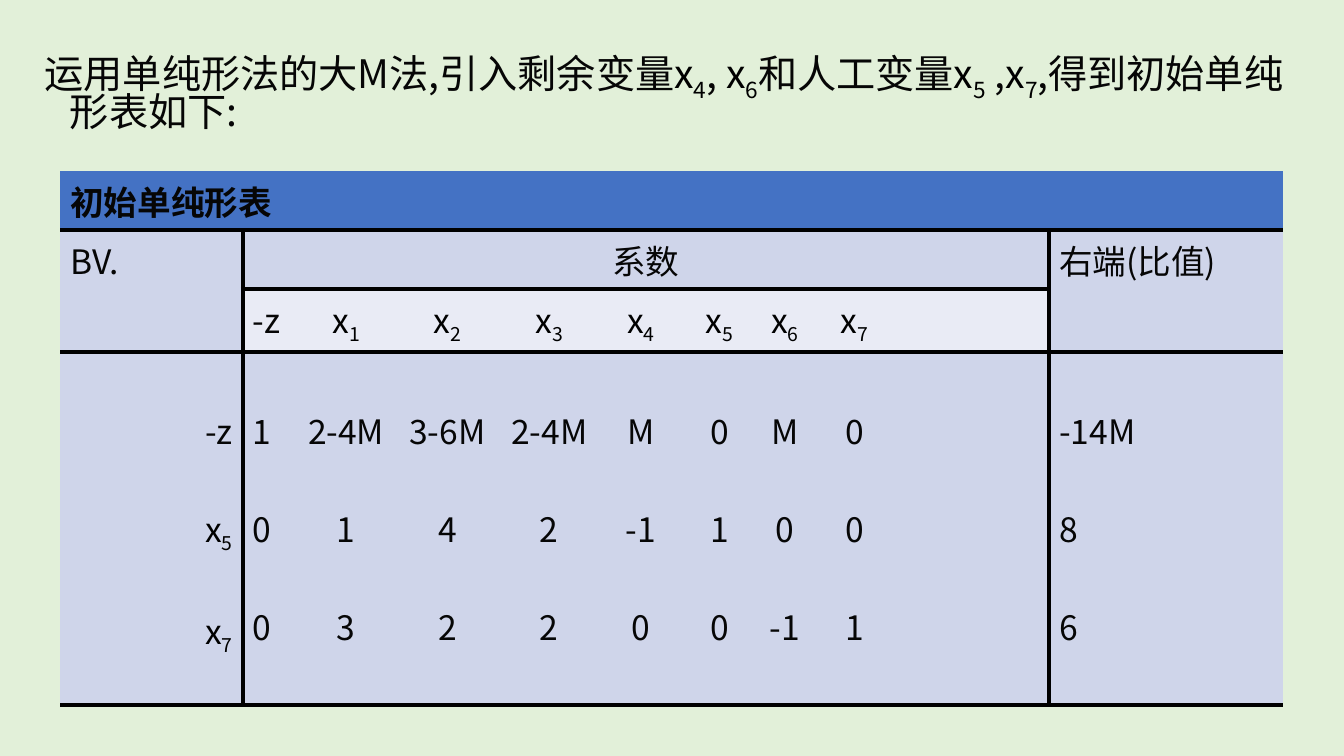
import pptx
import pptx.dml.color
import pptx.enum.text
import pptx.oxml.ns
import pptx.util
from dataclasses import dataclass
from lxml import etree

Cm, Pt = pptx.util.Cm, pptx.util.Pt
ALIGN = pptx.enum.text.PP_ALIGN
qn = pptx.oxml.ns.qn


@dataclass(frozen=True)
class Theme:
    font: str = "Noto Sans CJK SC"
    background: str = "E2F0D9"
    ink: str = "060606"
    line: str = "000000"
    variable: str = "000000"
    header: str = "4472C4"
    band: str = "CFD5EA"
    light_band: str = "E9EBF5"
    title_size: int = 28
    table_size: int = 24
    border_width: int = 3


THEME = Theme()

COLUMN_WIDTHS = (4.6, 20.32, 5.89)
ROW_HEIGHTS = (1.48, 1.48, 1.57, 8.89)
COEFFICIENT_TABS = (2.35, 4.9, 7.47, 9.78, 11.76, 13.41, 15.16)
COEFFICIENT_HEADS = ["-z"] + [f"x_{number}" for number in range(1, 8)]
# Basic variable, coefficients, right-hand side
SIMPLEX_ROWS = (
    ("-z", "1 2-4M 3-6M 2-4M M 0 M 0", "-14M"),
    ("x_5", "0 1 4 2 -1 1 0 0", "8"),
    ("x_7", "0 3 2 2 0 0 -1 1", "6"),
)


def rgb(value):
    return pptx.dml.color.RGBColor.from_string(value)


def add_run(paragraph, text, size, color, bold=False, subscript=False):
    if not text:
        return
    run = paragraph.add_run()
    run.text = text
    run.font.name = THEME.font
    run.font.size = Pt(size)
    run.font.bold = bold
    run.font.color.rgb = rgb(color)
    properties = run.font._element
    etree.SubElement(properties, qn("a:ea")).set("typeface", THEME.font)
    if subscript:
        properties.set("baseline", "-25000")


def write_text(paragraph, text, size, bold=False):
    """Write text in which x_4 stands for x with the subscript 4."""
    chunks = text.split("_")
    for index, chunk in enumerate(chunks):
        if index > 0:
            add_run(paragraph, chunk[0], size, THEME.variable, bold, subscript=True)
            chunk = chunk[1:]
        if index < len(chunks) - 1:
            add_run(paragraph, chunk[:-1], size, THEME.ink, bold)
            chunk = chunk[-1]
            add_run(paragraph, chunk, size, THEME.variable, bold)
        else:
            add_run(paragraph, chunk, size, THEME.ink, bold)


def add_tabs(paragraph):
    tab_list = etree.SubElement(paragraph._p.get_or_add_pPr(), qn("a:tabLst"))
    for position in COEFFICIENT_TABS:
        tab = etree.SubElement(tab_list, qn("a:tab"))
        tab.set("pos", str(int(Cm(position))))
        tab.set("algn", "ctr")


def fill_cell(cell, lines, color, align=ALIGN.LEFT, bold=False):
    cell.fill.solid()
    cell.fill.fore_color.rgb = rgb(color)
    frame = cell.text_frame
    for index, line in enumerate(lines):
        paragraph = frame.add_paragraph() if index else frame.paragraphs[0]
        paragraph.alignment = align
        if index:
            paragraph.space_before = Pt(35)
        if "\t" in line:
            add_tabs(paragraph)
        write_text(paragraph, line, THEME.table_size, bold)


def set_borders(cell, row, column):
    """Rule every inner edge below the header and the bottom of each row."""
    visible = {
        "a:lnL": row > 0 and column > 0,
        "a:lnR": row > 0 and column < len(COLUMN_WIDTHS) - 1,
        "a:lnT": row > 0,
        "a:lnB": True,
    }
    properties = cell._tc.get_or_add_tcPr()
    for tag, shown in visible.items():
        border = etree.SubElement(properties, qn(tag))
        if shown:
            border.set("w", str(int(Pt(THEME.border_width))))
            fill = etree.SubElement(border, qn("a:solidFill"))
            etree.SubElement(fill, qn("a:srgbClr")).set("val", THEME.line)
        else:
            etree.SubElement(border, qn("a:noFill"))


def add_introduction(slide, left, top, width, height):
    title = slide.shapes.title
    title.left, title.top, title.width, title.height = left, top, width, height
    frame = title.text_frame
    frame.word_wrap = True
    frame.auto_size = pptx.enum.text.MSO_AUTO_SIZE.NONE
    frame.vertical_anchor = pptx.enum.text.MSO_ANCHOR.TOP
    paragraph = frame.paragraphs[0]
    paragraph.alignment = ALIGN.LEFT
    paragraph.line_spacing = 0.78
    properties = paragraph._p.get_or_add_pPr()
    properties.set("marL", str(int(Cm(0.64))))
    properties.set("indent", str(-int(Cm(0.64))))
    write_text(
        paragraph,
        "运用单纯形法的大M法,引入剩余变量x_4, x_6和人工变量x_5 ,x_7,得到初始单纯形表如下:",
        THEME.title_size,
    )


def add_simplex_table(slide, left, top, width, height):
    frame = slide.shapes.add_table(len(ROW_HEIGHTS), len(COLUMN_WIDTHS), left, top, width, height)
    table = frame.table
    for column, column_width in zip(table.columns, COLUMN_WIDTHS):
        column.width = Cm(column_width)
    for row, row_height in zip(table.rows, ROW_HEIGHTS):
        row.height = Cm(row_height)
    for row in range(len(ROW_HEIGHTS)):
        for column in range(len(COLUMN_WIDTHS)):
            set_borders(table.cell(row, column), row, column)

    # Heading rows
    table.cell(0, 0).merge(table.cell(0, 2))
    for column in (0, 2):
        table.cell(1, column).merge(table.cell(2, column))
    fill_cell(table.cell(0, 0), ["初始单纯形表"], THEME.header, bold=True)
    fill_cell(table.cell(1, 0), ["BV."], THEME.band)
    fill_cell(table.cell(1, 1), ["系数"], THEME.band, ALIGN.CENTER)
    fill_cell(table.cell(1, 2), ["右端(比值)"], THEME.band)
    fill_cell(table.cell(2, 1), ["\t".join(COEFFICIENT_HEADS)], THEME.light_band)

    # Simplex values
    variables, coefficients, right_sides = zip(*SIMPLEX_ROWS)
    coefficients = ["\t".join(line.split()) for line in coefficients]
    alignments = (ALIGN.RIGHT, ALIGN.LEFT, ALIGN.LEFT)
    for column, lines in enumerate((variables, coefficients, right_sides)):
        cell = table.cell(3, column)
        cell.margin_top = Cm(1.35)
        fill_cell(cell, lines, THEME.band, alignments[column])


def main():
    presentation = pptx.Presentation()
    presentation.slide_width = Cm(33.87)
    presentation.slide_height = Cm(19.05)
    slide = presentation.slides.add_slide(presentation.slide_layouts[5])
    slide.background.fill.solid()
    slide.background.fill.fore_color.rgb = rgb(THEME.background)
    add_introduction(slide, Cm(0.87), Cm(1.27), Cm(31.8), Cm(2.44))
    add_simplex_table(slide, Cm(1.52), Cm(4.32), Cm(sum(COLUMN_WIDTHS)), Cm(sum(ROW_HEIGHTS)))
    presentation.save("out.pptx")


if __name__ == "__main__":
    main()
